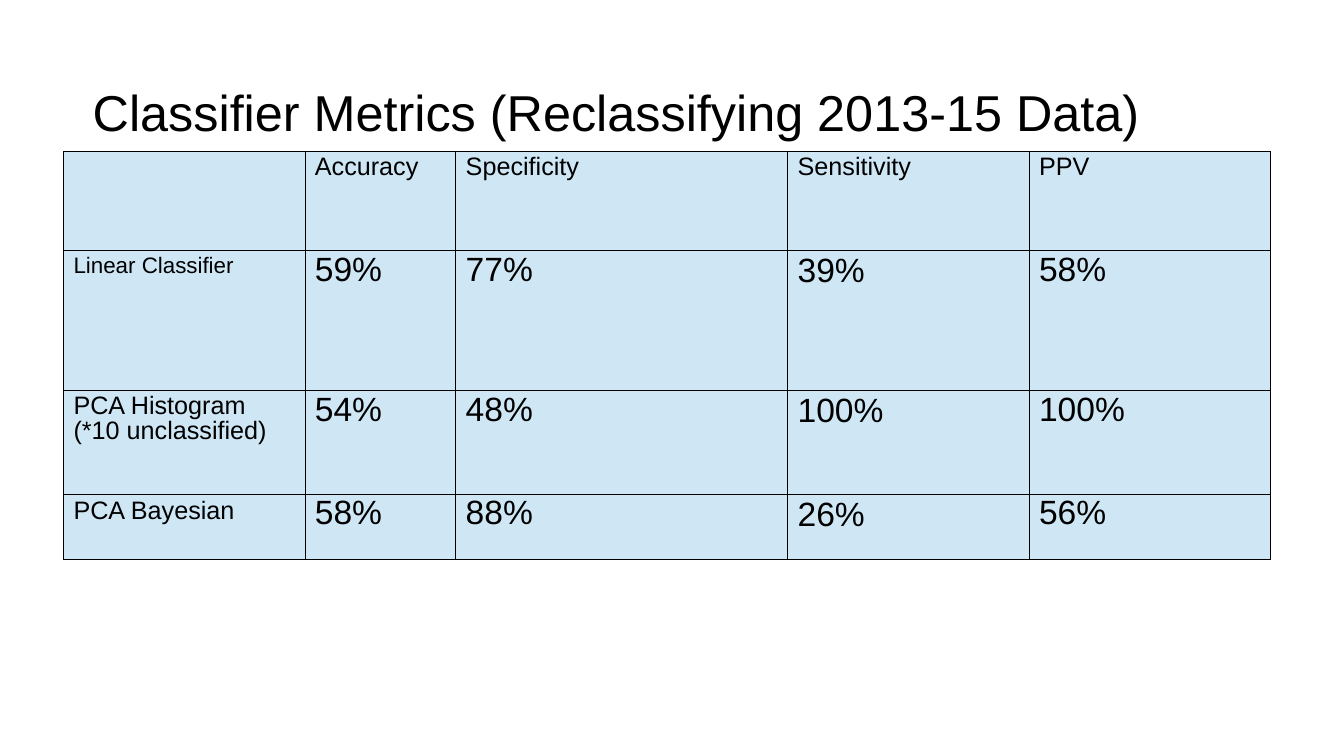
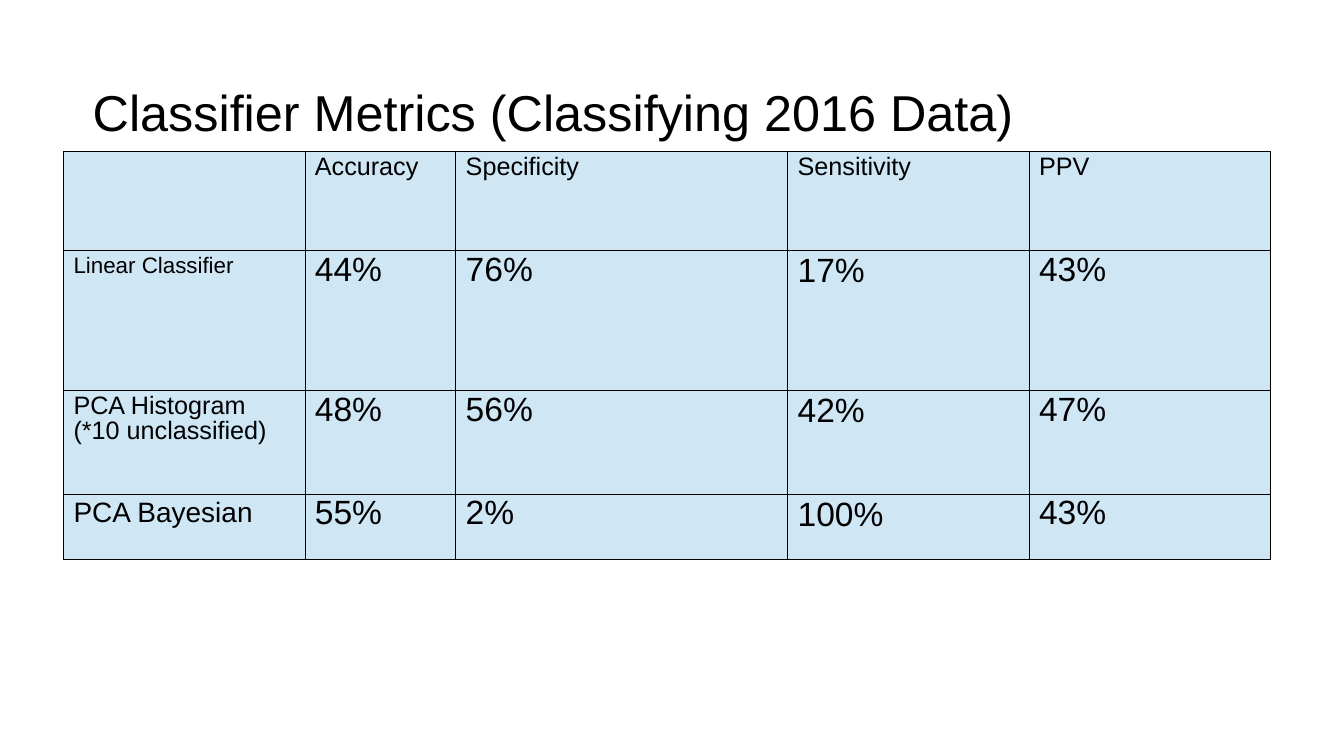
from dataclasses import dataclass

from lxml.etree import SubElement
from pptx import Presentation
from pptx.dml.color import RGBColor
from pptx.enum.text import MSO_ANCHOR
from pptx.oxml.ns import qn
from pptx.slide import Slide
from pptx.table import _Cell
from pptx.text.text import TextFrame
from pptx.util import Inches, Pt

SLIDE_WIDTH, SLIDE_HEIGHT = Inches(13.34), Inches(7.5)
COLORS = {"text": "000000", "background": "FFFFFF", "cell": "CFE7F5", "border": "000000"}
FONT = "Arial"
TITLE_SIZE, HEADER_SIZE, VALUE_SIZE = 36, 18, 24
TIGHT, LOOSE = 0.87, 0.93
BORDER_WIDTH = Pt(0.34)

TITLE_AREA = (Inches(0.92), Inches(0.4), Inches(11.5), Inches(1.45))
TABLE_LEFT, TABLE_TOP = Inches(0.63), Inches(1.5)
TABLE_WIDTH, TABLE_HEIGHT = Inches(11.98), Inches(4.05)
COLUMN_SHARES = (0.2, 0.125, 0.275, 0.2, 0.2)
ROW_WEIGHTS = (98, 139, 103, 65)

HEADERS = ("Accuracy", "Specificity", "Sensitivity", "PPV")


@dataclass(frozen=True)
class Label:
    lines: tuple[str, ...]
    size: int = HEADER_SIZE
    spacing: float = LOOSE


@dataclass(frozen=True)
class MetricRow:
    label: Label
    values: tuple[str, str, str, str]


@dataclass(frozen=True)
class MetricSlide:
    title: str
    rows: tuple[MetricRow, ...]


LINEAR = Label(("Linear Classifier",), 16)
HISTOGRAM = Label(("PCA Histogram", "(*10 unclassified)"), spacing=TIGHT)

METRIC_SLIDES = (
    MetricSlide(
        "Classifier Metrics (Reclassifying 2013-15 Data)",
        (
            MetricRow(LINEAR, ("59%", "77%", "39%", "58%")),
            MetricRow(HISTOGRAM, ("54%", "48%", "100%", "100%")),
            MetricRow(Label(("PCA Bayesian",)), ("58%", "88%", "26%", "56%")),
        ),
    ),
    MetricSlide(
        "Classifier Metrics (Classifying 2016 Data)",
        (
            MetricRow(LINEAR, ("44%", "76%", "17%", "43%")),
            MetricRow(HISTOGRAM, ("48%", "56%", "42%", "47%")),
            MetricRow(Label(("PCA Bayesian",), 20), ("55%", "2%", "100%", "43%")),
        ),
    ),
)


def color(name: str) -> RGBColor:
    return RGBColor.from_string(COLORS[name])


def write_label(frame: TextFrame, label: Label) -> None:
    for index, line in enumerate(label.lines):
        paragraph = frame.add_paragraph() if index else frame.paragraphs[0]
        paragraph.line_spacing = label.spacing
        run = paragraph.add_run()
        run.text = line
        run.font.name = FONT
        run.font.size = Pt(label.size)
        run.font.color.rgb = color("text")


def add_title(slide: Slide, title: str) -> None:
    frame = slide.shapes.add_textbox(*TITLE_AREA).text_frame
    frame.word_wrap = True
    frame.vertical_anchor = MSO_ANCHOR.MIDDLE
    frame.margin_left = frame.margin_right = frame.margin_bottom = 0
    frame.margin_top = Inches(0.03)
    write_label(frame, Label((title,), TITLE_SIZE))


def style_cell(cell: _Cell) -> None:
    properties = cell._tc.get_or_add_tcPr()
    for side in ("lnL", "lnR", "lnT", "lnB"):
        line = SubElement(properties, qn(f"a:{side}"), w=str(int(BORDER_WIDTH)))
        fill = SubElement(line, qn("a:solidFill"))
        SubElement(fill, qn("a:srgbClr"), val=COLORS["border"])
    cell.fill.solid()
    cell.fill.fore_color.rgb = color("cell")
    cell.margin_left = cell.margin_right = Inches(0.1)
    cell.margin_top = cell.margin_bottom = Inches(0.05)


def value_label(header: str, value: str) -> Label:
    """Sensitivity values are set with looser lines than the other metrics."""
    return Label((value,), VALUE_SIZE, LOOSE if header == "Sensitivity" else TIGHT)


def add_metric_table(slide: Slide, rows: tuple[MetricRow, ...]) -> None:
    table = slide.shapes.add_table(
        len(ROW_WEIGHTS), len(COLUMN_SHARES), TABLE_LEFT, TABLE_TOP, TABLE_WIDTH, TABLE_HEIGHT
    ).table
    table.first_row = table.horz_banding = False
    for column, share in zip(table.columns, COLUMN_SHARES):
        column.width = round(TABLE_WIDTH * share)
    for row, weight in zip(table.rows, ROW_WEIGHTS):
        row.height = round(TABLE_HEIGHT * weight / sum(ROW_WEIGHTS))

    header_labels = [Label((header,), spacing=TIGHT) for header in HEADERS]
    grid = [[Label(()), *header_labels]]
    for metric_row in rows:
        grid.append([metric_row.label, *map(value_label, HEADERS, metric_row.values)])
    for row_index, labels in enumerate(grid):
        for column_index, label in enumerate(labels):
            cell = table.cell(row_index, column_index)
            style_cell(cell)
            write_label(cell.text_frame, label)


def main() -> None:
    presentation = Presentation()
    presentation.slide_width, presentation.slide_height = SLIDE_WIDTH, SLIDE_HEIGHT
    background = presentation.slide_master.background.fill
    background.solid()
    background.fore_color.rgb = color("background")
    for metric_slide in METRIC_SLIDES:
        slide = presentation.slides.add_slide(presentation.slide_layouts[6])
        add_title(slide, metric_slide.title)
        add_metric_table(slide, metric_slide.rows)
    presentation.save("out.pptx")


if __name__ == "__main__":
    main()
